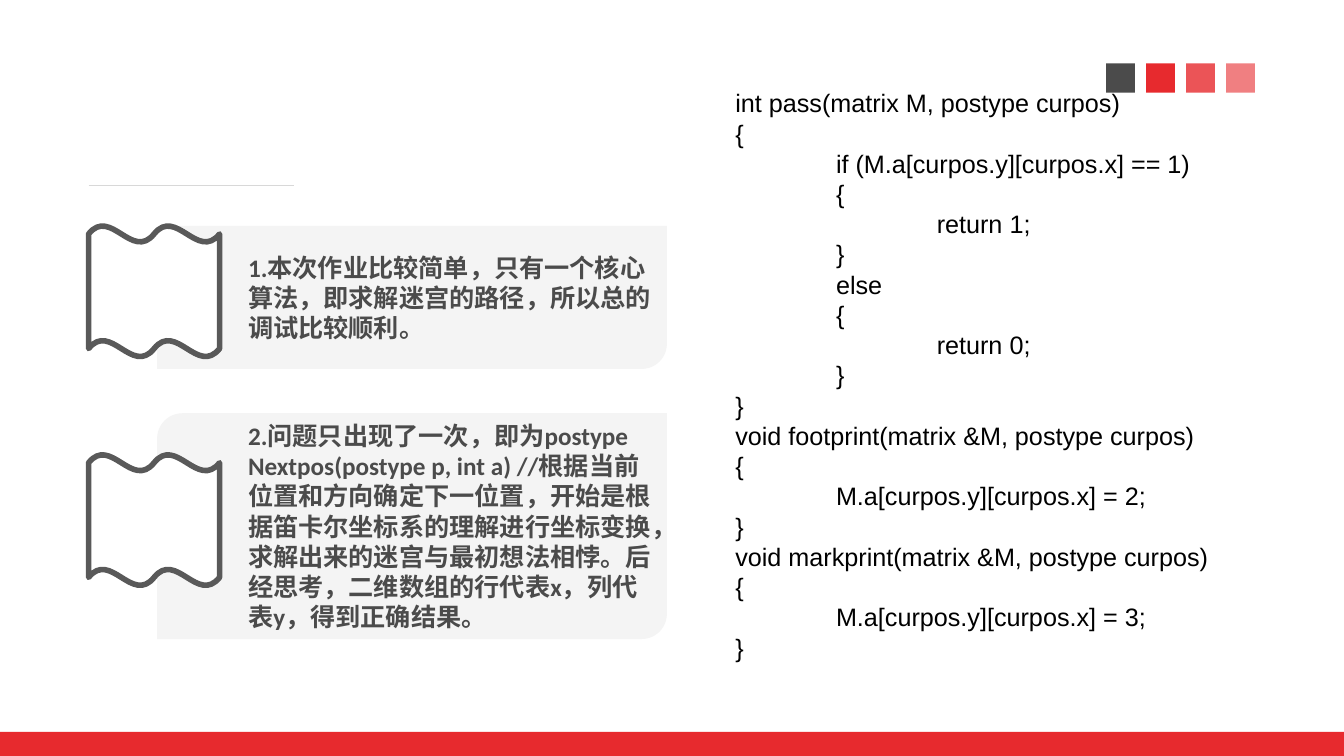
from lxml import etree
from pptx import Presentation
from pptx import util as u
from pptx.dml.color import RGBColor
from pptx.enum import shapes, text
from pptx.oxml.ns import qn

COLORS = {"red": "E72A2E", "dark": "4B4B4B", "panel": "F4F4F4", "white": "FFFFFF",
          "outline": "595959", "rule": "D8D8D8", "black": "000000"}
W, H = 13.34, 7.5
LEFT = 0.88

NOTES = [
    # panel top, panel height, banner top, wording
    (2.24, 1.42, 2.24, "1.本次作业比较简单，只有一个核心算法，即求解迷宫的路径，所以总的调试比较顺利。"),
    (4.1, 2.24, 4.51, "2.问题只出现了一次，即为postype Nextpos(postype p, int a) //根据当前位置和方向"
     "确定下一位置，开始是根据笛卡尔坐标系的理解进行坐标变换，求解出来的迷宫与最初想法相悖。"
     "后经思考，二维数组的行代表x，列代表y，得到正确结果。"),
]

CODE = """int pass(matrix M, postype curpos)
{
\tif (M.a[curpos.y][curpos.x] == 1)
\t{
\t\treturn 1;
\t}
\telse
\t{
\t\treturn 0;
\t}
}
void footprint(matrix &M, postype curpos)
{
\tM.a[curpos.y][curpos.x] = 2;
}
void markprint(matrix &M, postype curpos)
{
\tM.a[curpos.y][curpos.x] = 3;
}"""

prs = Presentation()
prs.slide_width, prs.slide_height = u.Inches(W), u.Inches(H)
s = prs.slides.add_slide(prs.slide_layouts[6])


def add_shape(kind, x, y, w, h, color):
    sp = s.shapes.add_shape(kind, *(u.Inches(v) for v in (x, y, w, h)))
    sp.shadow.inherit = False
    sp.fill.solid()
    sp.fill.fore_color.rgb = RGBColor.from_string(COLORS[color])
    sp.line.fill.background()
    return sp


def format_runs(p, font, color, bold=False):
    p.alignment = text.PP_ALIGN.LEFT
    for r in p.runs:
        r.font.size, r.font.name, r.font.bold = u.Pt(18), font, bold
        r.font.color.rgb = RGBColor.from_string(COLORS[color])


# Corner squares, fading to the right
for col, (color, alpha) in enumerate([("dark", 100), ("red", 100), ("red", 80), ("red", 60)]):
    sp = add_shape(shapes.MSO_SHAPE.RECTANGLE, 10.98 + col * 0.397, 0.63, 0.285, 0.29, color)
    if alpha < 100:
        clr = sp.fill._xPr.find(".//" + qn("a:srgbClr"))
        etree.SubElement(clr, qn("a:alpha")).set("val", str(alpha * 1000))

# Footer band
add_shape(shapes.MSO_SHAPE.RECTANGLE, 0, H - 0.24, W, 0.24, "red")

# Rule under the heading area
rule = s.shapes.add_connector(shapes.MSO_CONNECTOR.STRAIGHT, u.Inches(LEFT), u.Inches(1.84),
                              u.Inches(2.92), u.Inches(1.84))
rule.line.color.rgb = RGBColor.from_string(COLORS["rule"])
rule.line.width = u.Pt(1)
etree.SubElement(rule._element.spPr, qn("a:effectLst"))

# Note panels, each with a wavy banner
for top, height, banner_top, words in NOTES:
    panel = add_shape(shapes.MSO_SHAPE.ROUND_2_DIAG_RECTANGLE, 1.56, top, 5.06, height, "panel")
    panel.adjustments[0] = 0.25 / height
    panel.adjustments[1] = 0
    tf = panel.text_frame
    tf.word_wrap = True
    tf.vertical_anchor = text.MSO_ANCHOR.MIDDLE
    tf.margin_left, tf.margin_right = u.Inches(0.83), u.Inches(0.02)
    tf.margin_top = tf.margin_bottom = 0
    tf.text = words
    format_runs(tf.paragraphs[0], "Calibri", "dark", True)

    banner = add_shape(shapes.MSO_SHAPE.DOUBLE_WAVE, LEFT, banner_top, 1.3, 1.3, "white")
    banner.line.color.rgb = RGBColor.from_string(COLORS["outline"])
    banner.line.width = u.Pt(4)

# Code listing with a tab stop every inch
box = s.shapes.add_textbox(u.Inches(7.2), u.Inches(0.82), u.Inches(5.17), u.Inches(5.8))
tf = box.text_frame
tf.word_wrap = True
tf.text = CODE
for p in tf.paragraphs:
    tabs = etree.SubElement(p._p.get_or_add_pPr(), qn("a:tabLst"))
    for inch in (1, 2):
        etree.SubElement(tabs, qn("a:tab"), pos=str(u.Inches(inch)), algn="l")
    format_runs(p, "Arial", "black")

prs.save("out.pptx")
